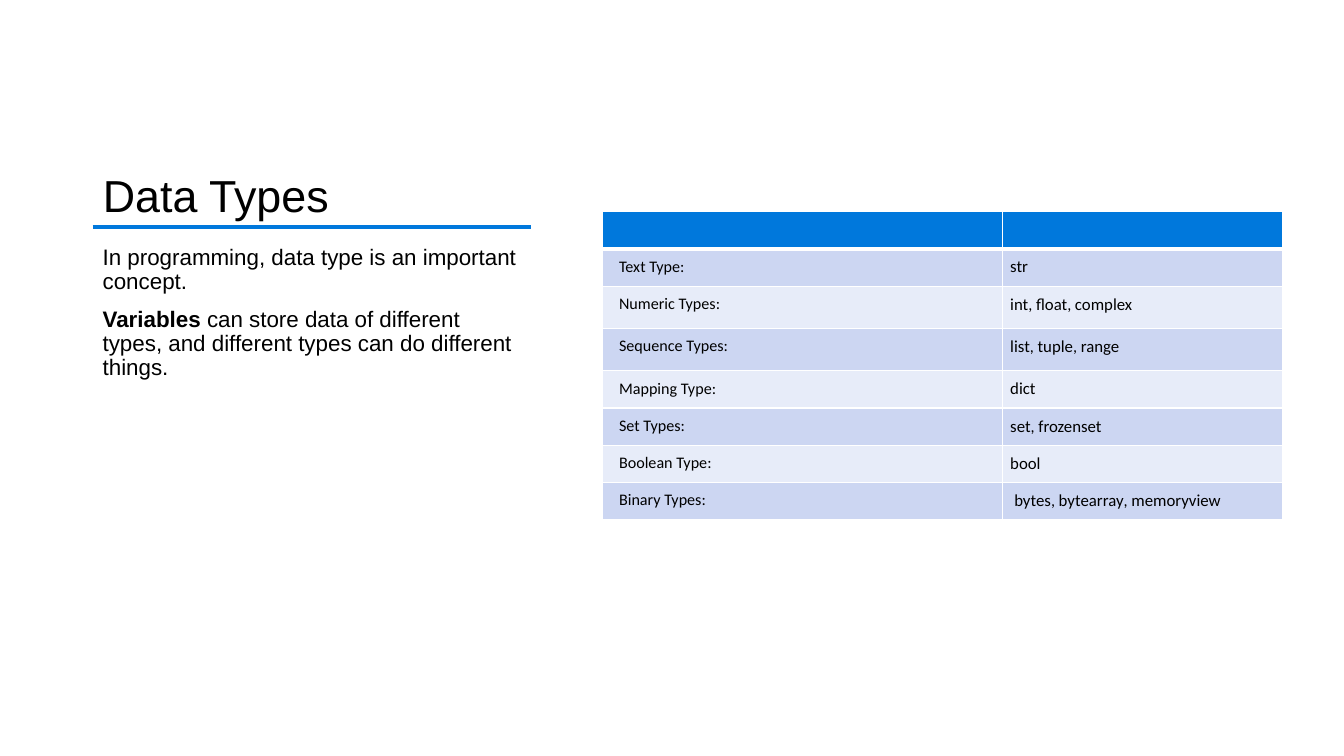
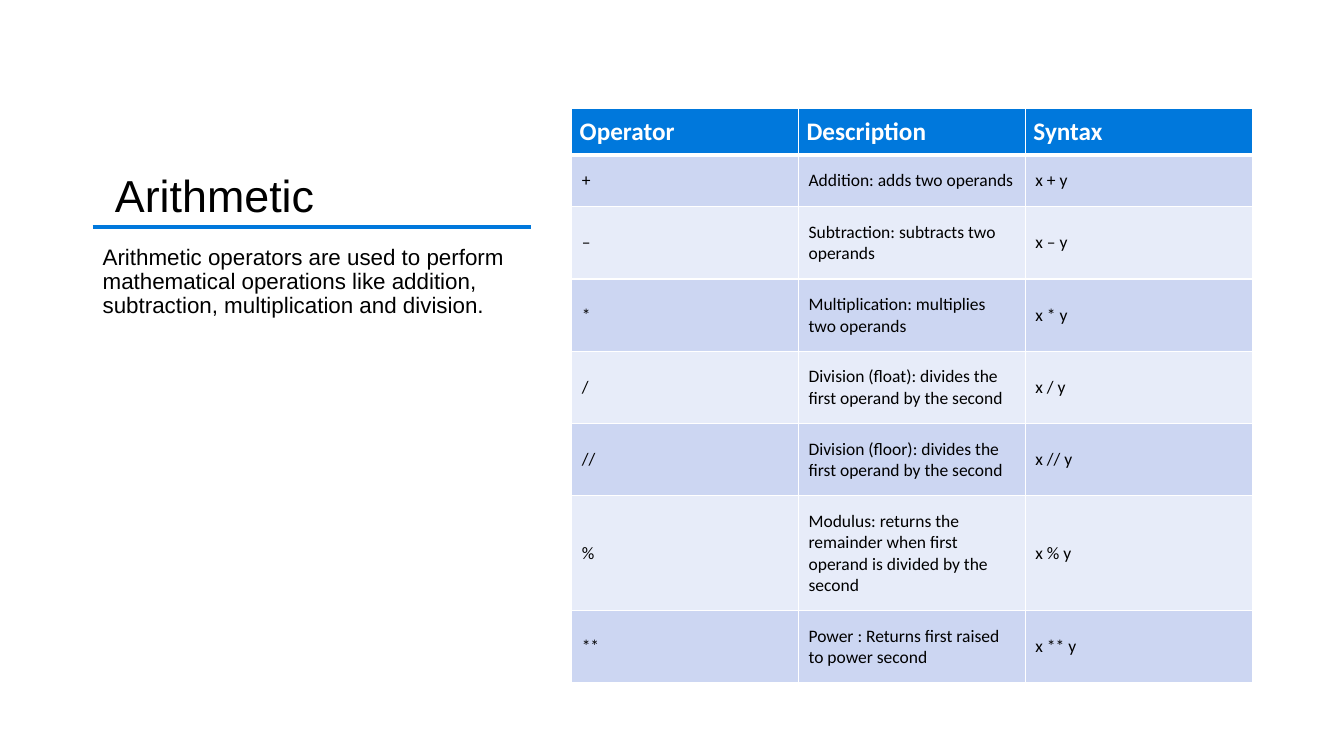
import pptx
import pptx.dml.color
import pptx.enum.shapes
import pptx.enum.text
import pptx.oxml
import pptx.oxml.ns
import pptx.util
from pptx.util import Inches

BLUE, WHITE, BLACK = "0078DC", "FFFFFF", "000000"
BANDS = ["CCD6F2", "E7ECF9"]
LEFT, TEXT_WIDTH = 0.92, 4.3
NAMESPACE = pptx.oxml.ns.nsdecls("a")


def color(hex_string):
    return pptx.dml.color.RGBColor.from_string(hex_string)


def format_font(font, name, size, hex_string, bold=False):
    font.name = name
    font.size = pptx.util.Pt(size)
    font.color.rgb = color(hex_string)
    font.bold = bold


# Contents: body paragraphs are lists of (text, bold) runs;
# insets are left, top, right, bottom
slides = [
    {
        "title": "Data Types",
        "title_inset": 0.1,
        "body": [
            [("In programming, data type is an important concept.", False)],
            [("Variables ", True),
             ("can store data of different types, and different types can do different things.", False)],
        ],
        "table_at": (5.97, 2.1),
        "columns": [3.97, 2.78],
        "row_heights": [0.37, 0.37, 0.42, 0.42, 0.37, 0.37, 0.37, 0.37],
        "anchor": pptx.enum.text.MSO_ANCHOR.TOP,
        "header_inset": (0.08, 0.03, 0.08, 0.03),
        "column_insets": [(0.17, 0.08, 0.08, 0.08), (0.08, 0.08, 0.08, 0.08)],
        "column_sizes": [11.5, 12],
        "separator_size": 11.5,
        "rows": [
            ["", ""],
            ["Text Type:", "str"],
            ["Numeric Types:", "int, float, complex"],
            ["Sequence Types:", "list, tuple, range"],
            ["Mapping Type:", "dict"],
            ["Set Types:", "set, frozenset"],
            ["Boolean Type:", "bool"],
            ["Binary Types:", "bytes, bytearray, memoryview"],
        ],
        "indents": {(7, 1): 0.04},
    },
    {
        "title": "Arithmetic",
        "title_inset": 0.22,
        "body": [
            [("Arithmetic operators are used to perform mathematical operations like "
              "addition, subtraction, multiplication and division.", False)],
        ],
        "table_at": (5.67, 1.08),
        "columns": [2.25] * 3,
        "row_heights": [0.46, 0.51, 0.71, 0.71, 0.71, 0.71, 1.14, 0.71],
        "anchor": pptx.enum.text.MSO_ANCHOR.MIDDLE,
        "header_inset": (0.08, 0.08, 0.08, 0.08),
        "column_insets": [(0.1, 0.15, 0.1, 0.15)] * 3,
        "column_sizes": [12.5] * 3,
        "separator_size": 12.5,
        "rows": [
            ["Operator", "Description", "Syntax"],
            ["+", "Addition: adds two operands", "x + y"],
            ["–", "Subtraction: subtracts two operands", "x – y"],
            ["*", "Multiplication: multiplies two operands", "x * y"],
            ["/", "Division (float): divides the first operand by the second", "x / y"],
            ["//", "Division (floor): divides the first operand by the second", "x // y"],
            ["%", "Modulus: returns the remainder when first operand is divided by the second", "x % y"],
            ["**", "Power : Returns first raised to power second", "x ** y"],
        ],
        "indents": {},
    },
]

presentation = pptx.Presentation()
presentation.slide_width = Inches(13.33)
presentation.slide_height = Inches(7.5)

for content in slides:
    slide = presentation.slides.add_slide(presentation.slide_layouts[5])

    # Rule under the title
    rule = slide.shapes.add_connector(
        pptx.enum.shapes.MSO_CONNECTOR.STRAIGHT,
        Inches(LEFT), Inches(2.25), Inches(5.27), Inches(2.25))
    rule.line.color.rgb = color(BLUE)
    rule.line.width = pptx.util.Pt(3)
    rule._element.spPr.append(pptx.oxml.parse_xml(f"<a:effectLst {NAMESPACE}/>"))

    # Title
    title = slide.shapes.title
    title.left, title.top = Inches(LEFT), Inches(0.5)
    title.width, title.height = Inches(TEXT_WIDTH), Inches(1.75)
    title_frame = title.text_frame
    title_frame.text = content["title"]
    title_frame.auto_size = pptx.enum.text.MSO_AUTO_SIZE.NONE
    title_frame.vertical_anchor = pptx.enum.text.MSO_ANCHOR.BOTTOM
    title_frame.margin_left = Inches(content["title_inset"])
    paragraph = title_frame.paragraphs[0]
    paragraph.alignment = pptx.enum.text.PP_ALIGN.LEFT
    paragraph.line_spacing = 0.9
    format_font(paragraph.runs[0].font, "Arial", 32, BLACK)

    # Body text
    body = slide.shapes.add_textbox(
        Inches(LEFT), Inches(2.39), Inches(TEXT_WIDTH), Inches(4.02))
    body.text_frame.word_wrap = True
    for index, runs in enumerate(content["body"]):
        if index == 0:
            paragraph = body.text_frame.paragraphs[0]
        else:
            paragraph = body.text_frame.add_paragraph()
            paragraph.space_before = pptx.util.Pt(10)
        paragraph.line_spacing = 0.9
        for text, bold in runs:
            run = paragraph.add_run()
            run.text = text
            format_font(run.font, "Arial", 16, BLACK, bold)

    # Table
    rows, columns, heights = content["rows"], content["columns"], content["row_heights"]
    left, top = content["table_at"]
    table = slide.shapes.add_table(
        len(rows), len(columns), Inches(left), Inches(top),
        Inches(sum(columns)), Inches(sum(heights))).table
    for column, width in zip(table.columns, columns):
        column.width = Inches(width)
    for row, height in zip(table.rows, heights):
        row.height = Inches(height)

    for row_index, row in enumerate(rows):
        is_header = row_index == 0
        for column_index, text in enumerate(row):
            cell = table.cell(row_index, column_index)

            # White borders, thick between the header and the rows
            thick_sides = {0: "B", 1: "T"}.get(row_index, "")
            for side in "LRTB":
                width = pptx.util.Pt(3 if side == thick_sides else 1)
                cell._tc.get_or_add_tcPr().append(pptx.oxml.parse_xml(
                    f'<a:ln{side} {NAMESPACE} w="{width}"><a:solidFill>'
                    f'<a:srgbClr val="{WHITE}"/></a:solidFill></a:ln{side}>'))
            cell.fill.solid()
            cell.fill.fore_color.rgb = color(BLUE if is_header else BANDS[(row_index - 1) % 2])

            inset = content["header_inset"] if is_header else content["column_insets"][column_index]
            indent = content["indents"].get((row_index, column_index), 0)
            cell.margin_left = Inches(inset[0] + indent)
            cell.margin_top, cell.margin_right, cell.margin_bottom = map(Inches, inset[1:])
            cell.vertical_anchor = content["anchor"]

            # Type names and the commas between them differ in size
            paragraph = cell.text_frame.paragraphs[0]
            for part_index, part in enumerate(text.split(", ") if text else []):
                pieces = [(part, content["column_sizes"][column_index])]
                if part_index:
                    pieces.insert(0, (", ", content["separator_size"]))
                for piece, size in pieces:
                    run = paragraph.add_run()
                    run.text = piece
                    format_font(run.font, "Calibri", 18 if is_header else size,
                                WHITE if is_header else BLACK, is_header)

presentation.save("out.pptx")
